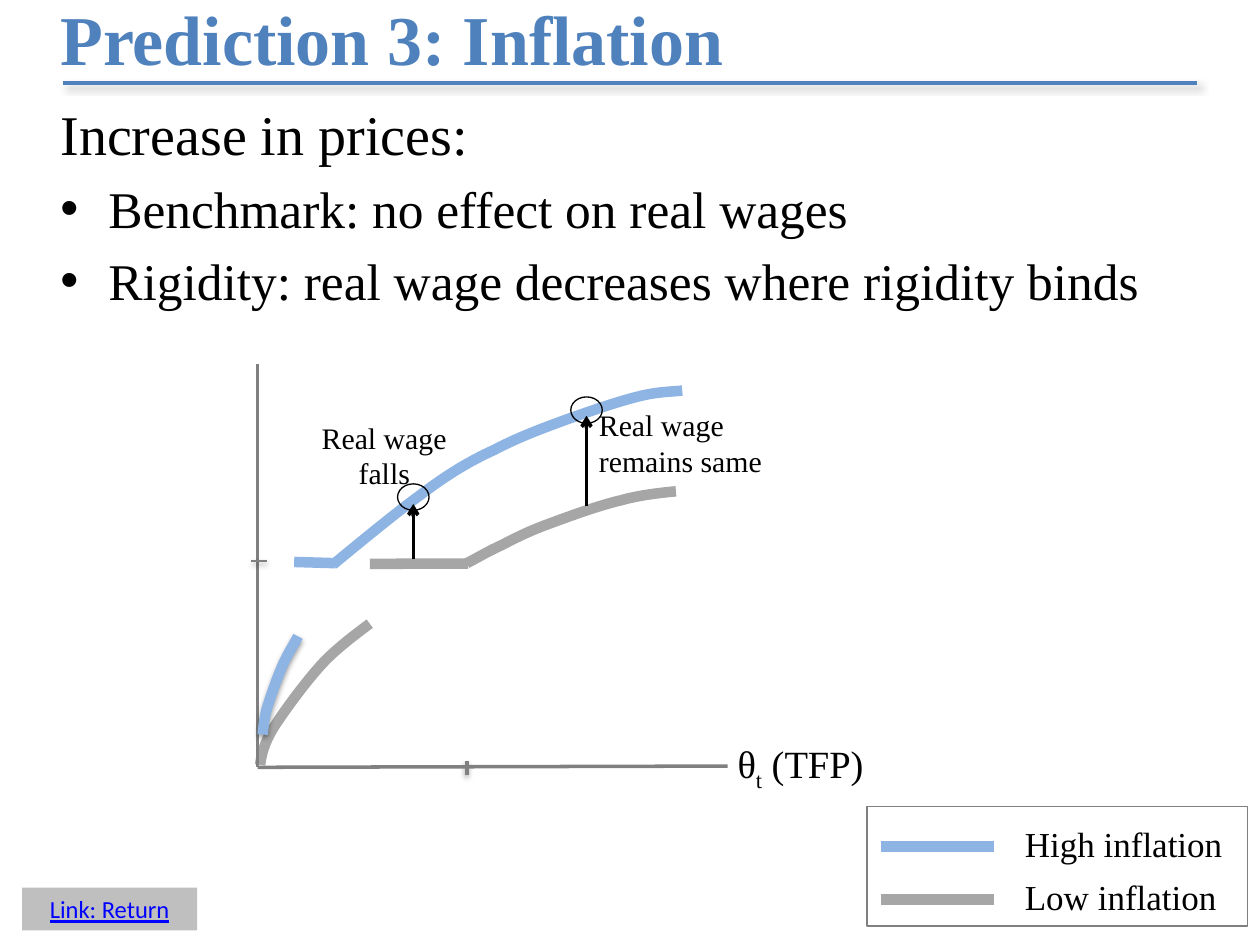
import pptx
import pptx.util
import pptx.dml.color
import pptx.enum.shapes
import pptx.enum.text
import pptx.oxml
import pptx.oxml.ns

HUES = {"title": "4F81BD", "high": "8EB4E3", "low": "A6A6A6", "axis": "808080",
        "ink": "000000", "link": "0000FF", "tab": "BFBFBF"}
ROMAN = "Times New Roman"
COLS, ROWS = 100, 75  # slide grid, in square cells
SHAPE = pptx.enum.shapes.MSO_SHAPE
ALIGN = pptx.enum.text.PP_ALIGN
SOFT = (38, 3.1, 1.6, 90)  # shadow: alpha, blur, distance, angle
DEEP = (43, 4, 3, 45)

deck = pptx.Presentation()
deck.slide_width = pptx.util.Inches(10)
deck.slide_height = pptx.util.Inches(7.5)
CELL = deck.slide_width / COLS


def grid(*cells):
    return [round(cell * CELL) for cell in cells]


def shift(box, *spots):
    return [(box[0] + x, box[1] + y) for x, y in spots]


def hue(name):
    return pptx.dml.color.RGBColor.from_string(HUES[name])


def add_xml(parent, tag, inner="/>"):
    space = pptx.oxml.ns.nsdecls("a")
    node = pptx.oxml.parse_xml(f"<a:{tag} {space}{inner}")
    parent.append(node)
    return node


def style(font, tint="ink", **values):
    for key, value in values.items():
        setattr(font, key, value)
    font.color.rgb = hue(tint)


def stroke(part, tint, width, shade=None):
    part.line.color.rgb = hue(tint)
    part.line.width = pptx.util.Pt(width)
    inner = "/>"
    if shade:
        alpha, blur, gap, angle = shade
        inner = (f'><a:outerShdw blurRad="{round(blur * 12700)}" '
                 f'dist="{round(gap * 12700)}" dir="{angle * 60000}" rotWithShape="0">'
                 f'<a:srgbClr val="000000"><a:alpha val="{alpha * 1000}"/></a:srgbClr>'
                 '</a:outerShdw></a:effectLst>')
    add_xml(part._element.spPr, "effectLst", inner)


def add_line(slide, start, end, tint, width, shade=None, arrow=False):
    kind = pptx.enum.shapes.MSO_CONNECTOR.STRAIGHT
    line = slide.shapes.add_connector(kind, *grid(*start, *end))
    stroke(line, tint, width, shade)
    if arrow:
        add_xml(line.line._get_or_add_ln(), "tailEnd", ' type="arrow"/>')


def add_curve(slide, spots, tint, shade=None):
    """Draw joined cubic curves: a start, then three points for each."""
    dots = [grid(*spot) for spot in spots]
    pen = slide.shapes.build_freeform(*dots[0])
    pen.add_line_segments(dots[1:], close=False)
    curve = pen.convert_to_shape()
    # Turn each three straight steps into one cubic curve
    track = curve._element.xpath(".//a:path")[0]
    steps = curve._element.xpath(".//a:lnTo")
    for i in range(0, len(steps), 3):
        bend = add_xml(track, "cubicBezTo")
        for step in steps[i:i + 3]:
            bend.append(step[0])
            track.remove(step)
    curve.fill.background()
    stroke(curve, tint, 6, shade)


def add_frame(slide, kind, box, tint):
    frame = slide.shapes.add_shape(kind, *grid(*box))
    frame.fill.background()
    stroke(frame, tint, 0.75)


def add_label(slide, box, text, size, align=ALIGN.LEFT):
    label = slide.shapes.add_textbox(*grid(*box)).text_frame
    label.word_wrap = True
    para = label.paragraphs[0]
    para.alignment = align
    run = para.add_run()
    run.text = text
    style(run.font, name=ROMAN, size=pptx.util.Pt(size))
    return para


def place(part, box):
    part.left, part.top, part.width, part.height = grid(*box)
    part.text_frame.auto_size = pptx.enum.text.MSO_AUTO_SIZE.NONE


def draw_head(slide, box):
    title = slide.shapes.title
    place(title, box)
    title.text_frame.text = "Prediction 3: Inflation"
    title.text_frame.vertical_anchor = pptx.enum.text.MSO_ANCHOR.MIDDLE
    para = title.text_frame.paragraphs[0]
    para.alignment = ALIGN.LEFT
    style(para.runs[0].font, "title", name=ROMAN, size=pptx.util.Pt(40), bold=True)
    rule = shift(box, (1.2, 6.1), (91.2, 6.1))
    add_line(slide, *rule, "title", 2, DEEP)


def draw_list(slide, box):
    body = slide.placeholders[1]
    place(body, box)
    lines = ["Increase in prices:", "Benchmark: no effect on real wages",
             "Rigidity: real wage decreases where rigidity binds"]
    body.text_frame.text = "\n".join(lines)
    for i, para in enumerate(body.text_frame.paragraphs):
        props = para._p.get_or_add_pPr()
        props.set("marL", str(grid(3.8)[0]))
        props.set("indent", str(-grid(3.8)[0]))
        if i:
            add_xml(props, "buChar", ' char="•"/>')
        else:
            add_xml(props, "buNone")
        para.space_before = pptx.util.Pt(5.9 if i else 0)
        style(para.runs[0].font, name=ROMAN, size=pptx.util.Pt(29.4 if i else 32))


def draw_graph(slide, box):
    left, top, width, depth = box
    # Low inflation and axes
    add_line(slide, *shift(box, (16.6, 31.5), (16.6, 32.6)), "axis", 2, SOFT)
    add_curve(slide, shift(box, (0.2, 31.8), (0.3, 31), (0.5, 30.1), (1.3, 28.8),
                           (2.2, 27.4), (3.9, 25.1), (5.2, 23.7),
                           (6.4, 22.4), (8.9, 20.6), (8.9, 20.6)), "low")
    add_curve(slide, shift(box, (16.6, 15.8), (17.4, 15.4), (18.2, 14.9), (19.3, 14.4),
                           (20.3, 13.9), (21.2, 13.4), (22.8, 12.8),
                           (24.4, 12.2), (27.1, 11.2), (28.9, 10.8),
                           (30.6, 10.3), (33.2, 10.1), (33.2, 10.1)), "low")
    add_line(slide, (left, top), (left, top + depth), "axis", 2)
    add_line(slide, (left, top + depth), (left + width, top + depth - 0.1), "axis", 2)
    para = add_label(slide, (left + 37.1, top + 29.35, 15.5, 4.7), "θ", 22)
    for text, base in (("t", -25000), (" (TFP)", 0)):
        run = para.add_run()
        run.text = text
        style(run.font, name=ROMAN, size=pptx.util.Pt(22))
        run._r.get_or_add_rPr().set("baseline", str(base))
    add_line(slide, *shift(box, (0.75, 15.65), (-0.5, 15.65)), "axis", 1, SOFT)
    add_line(slide, *shift(box, (16.7, 15.83), (8.9, 15.85)), "low", 6)
    # High inflation
    add_curve(slide, shift(box, (33.7, 2.1), (32.7, 2.2), (31.6, 2.2), (30.1, 2.6),
                           (28.5, 3), (26.5, 3.7), (24.5, 4.4),
                           (22.6, 5.1), (20.7, 5.8), (18.8, 6.8),
                           (16.8, 7.7), (15, 8.8), (12.9, 10.4),
                           (10.8, 11.9), (6, 15.9), (6, 15.9)), "high")
    add_line(slide, *shift(box, (6.2, 15.8), (2.9, 15.7)), "high", 6)
    add_curve(slide, shift(box, (3.2, 21.6), (2.8, 22.4), (2.3, 23.1), (1.9, 24.1),
                           (1.5, 25), (1.1, 26.2), (0.8, 27.1),
                           (0.5, 28), (0.4, 29.4), (0.4, 29.4)), "high", SOFT)
    # Wage changes: arrow column, its foot and tip, ring top
    for x, foot, tip, ring in ((26.1, 11.3, 4.1, 2.6), (12.35, 15.5, 11.1, 9.5)):
        add_line(slide, *shift(box, (x, foot), (x, tip)), "ink", 2, arrow=True)
        add_frame(slide, SHAPE.OVAL, (left + x - 1.25, top + ring, 2.5, 2.1), "ink")
    add_label(slide, (left + 26.1, top + 2.9, 17.1, 6.7), "Real wage remains same", 17)
    add_label(slide, (left + 3.7, top + 3.9, 12.7, 6.7), "Real wage falls", 17,
              ALIGN.CENTER)


def draw_key(slide, box):
    left, top, width, depth = box
    add_frame(slide, SHAPE.RECTANGLE, box, "axis")
    for i, (name, tint) in enumerate((("High inflation", "high"), ("Low inflation", "low"))):
        y = top + 3.2 + i * 4.2
        add_line(slide, (left + 1.1, y), (left + 10.1, y), tint, 6)
        add_label(slide, (left + 11.55, y - 2.4, width - 11.55, 4.4), name, 20)


def draw_link(slide, box):
    tab = slide.shapes.add_shape(SHAPE.RECTANGLE, *grid(*box))
    tab.shadow.inherit = False
    tab.fill.solid()
    tab.fill.fore_color.rgb = hue("tab")
    tab.line.fill.background()
    tab.text_frame.text = "Link: Return"
    para = tab.text_frame.paragraphs[0]
    para.alignment = ALIGN.CENTER
    style(para.runs[0].font, "link", name="Calibri", size=pptx.util.Pt(14), underline=True)


def main():
    slide = deck.slides.add_slide(deck.slide_layouts[1])
    draw_head(slide, (3.8, 0.5, 93.5, 5))
    draw_list(slide, (3.8, 7.4, 94, 17.1))
    draw_graph(slide, (20.45, 28.9, 37.3, 32))
    draw_key(slide, (68.8, ROWS - 11, 30.2, 9.5))
    draw_link(slide, (1.75, ROWS - 4.55, 13.9, 3.4))
    deck.save("out.pptx")


if __name__ == "__main__":
    main()
